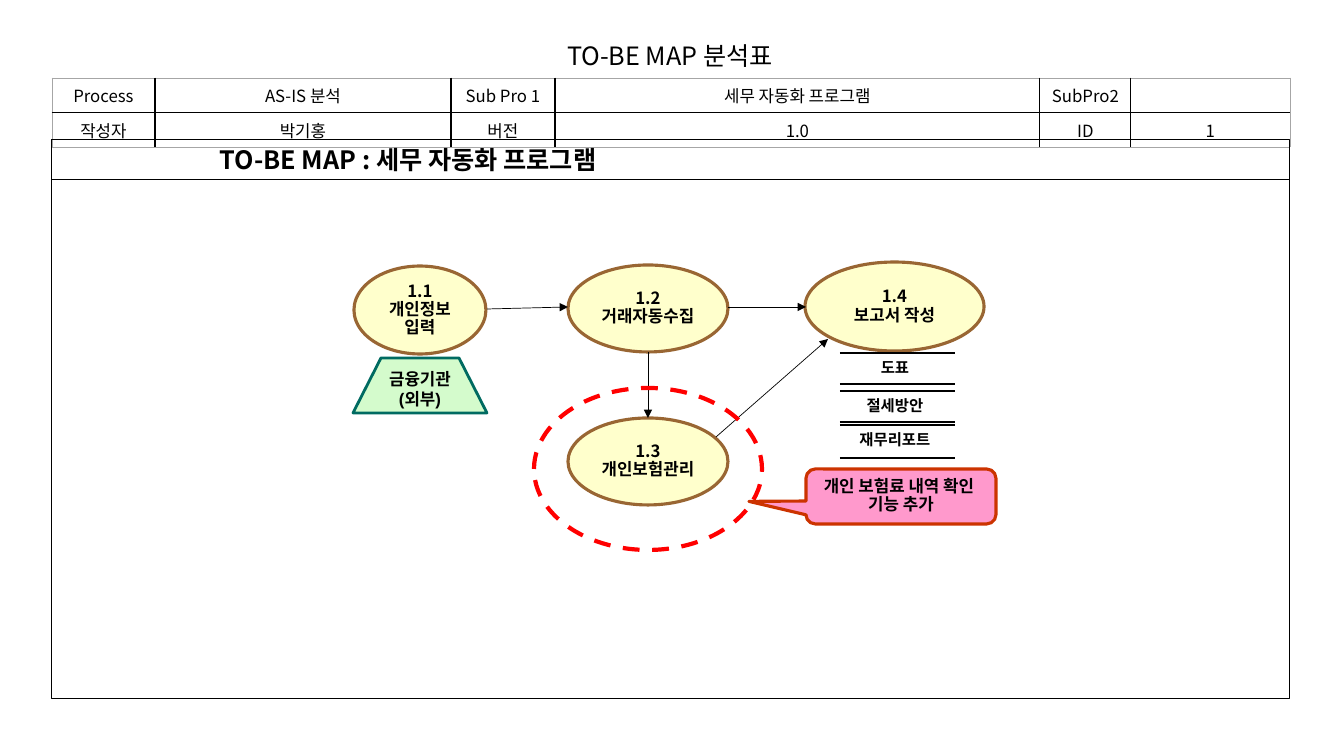
from lxml import etree
from pptx import Presentation
from pptx.dml.color import RGBColor
from pptx.enum.dml import MSO_LINE
from pptx.enum.shapes import MSO_CONNECTOR, MSO_SHAPE
from pptx.enum.text import MSO_ANCHOR, PP_ALIGN
from pptx.oxml.ns import qn
from pptx.util import Emu, Pt

EMU_PER_PX = 914400 / 100.8
KOREAN_FONT = "Noto Sans CJK KR"
LATIN_FONT = "Arial"

BLACK = RGBColor(0x00, 0x00, 0x00)
WHITE = RGBColor(0xFF, 0xFF, 0xFF)
GRAY = RGBColor(0xA6, 0xA6, 0xA6)
CREAM = RGBColor(0xFF, 0xFF, 0xCC)
BROWN = RGBColor(0x99, 0x66, 0x33)
MINT = RGBColor(0xD4, 0xFB, 0xCC)
TEAL = RGBColor(0x00, 0x6B, 0x61)
RED = RGBColor(0xFF, 0x00, 0x00)
PINK = RGBColor(0xFF, 0x99, 0xCC)
RUST = RGBColor(0xCC, 0x33, 0x00)

CENTER, LEFT = PP_ALIGN.CENTER, PP_ALIGN.LEFT
MIDDLE, TOP = MSO_ANCHOR.MIDDLE, MSO_ANCHOR.TOP
STRAIGHT = MSO_CONNECTOR.STRAIGHT
ELLIPSE, RECTANGLE = MSO_SHAPE.OVAL, MSO_SHAPE.RECTANGLE
CALLOUT = MSO_SHAPE.ROUNDED_RECTANGULAR_CALLOUT
DASH = MSO_LINE.DASH

SHEET_LEFT, SHEET_WIDTH = 52, 1238
TITLE_EDGES = ((WHITE, 1), (WHITE, 1), (WHITE, 1), (WHITE, 3))
INNER_EDGE, OUTER_EDGE = (BLACK, 1), (GRAY, 0.5)
INFO_COLUMNS = (103, 296, 104, 485, 91, 159)
INFO_ROWS = (31, 29)
INFO = (
    ("Process", "AS-IS 분석", "Sub Pro 1", "세무 자동화 프로그램", "SubPro2", ""),
    ("작성자", "박기홍", "버전", "1.0", "ID", "1"),
)
PROCESSES = (
    ((354, 266, 132, 88), ("1.1", "개인정보", "입력")),
    ((568, 265, 160, 87), ("1.2", "거래자동수집")),
    ((568, 418, 160, 87), ("1.3", "개인보험관리")),
    ((805, 262, 179, 89), ("1.4", "보고서 작성")),
)
FLOWS = (
    (487, 309, 568, 307),
    (728, 307, 806, 307),
    (648, 352, 648, 418),
    (716, 437, 828, 339),
)
STORES = (("도표", 353, 384), ("절세방안", 391, 422), ("재무리포트", 425, 458))
STORE_LEFT, STORE_WIDTH, STORE_LABEL_WIDTH = 840, 115, 110


def px(length):
    return Emu(round(length * EMU_PER_PX))


def box(*lengths):
    return [px(length) for length in lengths]


def write(frame, lines, size, bold=True, font=KOREAN_FONT, align=CENTER, spacing=None):
    for index, line in enumerate(lines):
        paragraph = frame.paragraphs[0] if index == 0 else frame.add_paragraph()
        paragraph.alignment = align
        if spacing:
            paragraph.line_spacing = spacing
        run = paragraph.add_run()
        run.text = line
        run.font.size = Pt(size)
        run.font.bold = bold
        run.font.name = font
        run.font.color.rgb = BLACK
        east_asian = etree.SubElement(run.font._element, qn("a:ea"))
        east_asian.set("typeface", KOREAN_FONT)


def set_frame(frame, anchor=MIDDLE, across=0, down=0):
    frame.word_wrap = True
    frame.vertical_anchor = anchor
    frame.margin_left = frame.margin_right = px(across)
    frame.margin_top = frame.margin_bottom = px(down)


def paint(shape, fill, line, width):
    shape.shadow.inherit = False
    if fill is None:
        shape.fill.background()
    else:
        shape.fill.solid()
        shape.fill.fore_color.rgb = fill
    shape.line.color.rgb = line
    shape.line.width = Pt(width)
    set_frame(shape.text_frame)


def add_figure(slide, kind, bounds, fill, line, width):
    figure = slide.shapes.add_shape(kind, *box(*bounds))
    paint(figure, fill, line, width)
    return figure


def add_line(slide, ends, width, arrow=False):
    connector = slide.shapes.add_connector(STRAIGHT, *box(*ends))
    connector.line.color.rgb = BLACK
    connector.line.width = Pt(width)
    if arrow:
        tail = etree.SubElement(connector.line._get_or_add_ln(), qn("a:tailEnd"))
        tail.set("type", "triangle")
    etree.SubElement(connector._element.spPr, qn("a:effectLst"))


def border_cell(cell, edges):
    properties = cell._tc.get_or_add_tcPr()
    sides = ("a:lnL", "a:lnR", "a:lnT", "a:lnB")
    for position, (side, (color, width)) in enumerate(zip(sides, edges)):
        edge = etree.Element(qn(side), w=str(Pt(width)))
        fill = etree.SubElement(edge, qn("a:solidFill"))
        etree.SubElement(fill, qn("a:srgbClr"), val=str(color))
        properties.insert(position, edge)


def fill_cell(cell, text, size, edges):
    cell.fill.background()
    cell.vertical_anchor = MIDDLE
    border_cell(cell, edges)
    if text:
        write(cell.text_frame, [text], size, bold=False)
    else:
        paragraph = cell.text_frame.paragraphs[0]
        etree.SubElement(paragraph._p, qn("a:endParaRPr"), sz=str(size * 100))


def add_grid(slide, left, top, columns, rows):
    bounds = box(left, top, sum(columns), sum(rows))
    table = slide.shapes.add_table(len(rows), len(columns), *bounds).table
    table.first_row = table.horz_banding = False
    for column, width in zip(table.columns, columns):
        column.width = px(width)
    for row, height in zip(table.rows, rows):
        row.height = px(height)
    return table


def add_title_table(slide):
    table = add_grid(slide, 306, 31, (728,), (40,))
    fill_cell(table.cell(0, 0), "TO-BE MAP 분석표", 18, TITLE_EDGES)


def add_info_table(slide):
    table = add_grid(slide, SHEET_LEFT, 78, INFO_COLUMNS, INFO_ROWS)
    last_row, last_column = len(INFO_ROWS) - 1, len(INFO_COLUMNS) - 1
    for r, values in enumerate(INFO):
        for c, value in enumerate(values):
            outer = (c == 0, c == last_column, r == 0, r == last_row)
            edges = [OUTER_EDGE if is_outer else INNER_EDGE for is_outer in outer]
            fill_cell(table.cell(r, c), value, 12, edges)


def add_process(slide, bounds, lines):
    process = add_figure(slide, ELLIPSE, bounds, CREAM, BROWN, 2.25)
    write(process.text_frame, lines, 12, spacing=0.9)


def add_institution(slide):
    builder = slide.shapes.build_freeform(487, 413, scale=EMU_PER_PX)
    builder.add_line_segments([(459, 358), (381, 358), (353, 413)], close=True)
    institution = builder.convert_to_shape()
    paint(institution, MINT, TEAL, 2)
    institution.text_frame.margin_top = px(6)
    write(institution.text_frame, ["금융기관", "(외부)"], 12, font=LATIN_FONT)


def add_store(slide, name, top, bottom):
    for level in (top, bottom):
        add_line(slide, (STORE_LEFT, level, STORE_LEFT + STORE_WIDTH, level), 1)
    label = slide.shapes.add_textbox(*box(STORE_LEFT, top, STORE_LABEL_WIDTH, bottom - top))
    set_frame(label.text_frame, TOP, 13, 7)
    write(label.text_frame, [name], 11, spacing=0.9)


def add_callout(slide):
    callout = add_figure(slide, CALLOUT, (806, 469, 190, 55), PINK, RUST, 2.25)
    for index, value in enumerate((-0.8, 0.09, 0.17)):
        callout.adjustments[index] = value
    lines = ["개인 보험료 내역 확인 ", "기능 추가"]
    write(callout.text_frame, lines, 12, font=LATIN_FONT, spacing=0.9)


def add_heading(slide):
    bounds = (SHEET_LEFT, 139, SHEET_WIDTH, 41)
    heading = add_figure(slide, RECTANGLE, bounds, None, BLACK, 0.75)
    heading.text_frame.margin_left = px(168)
    write(heading.text_frame, ["TO-BE MAP : 세무 자동화 프로그램"], 18, align=LEFT)


def main():
    deck = Presentation()
    deck.slide_width, deck.slide_height = box(1344, 756)
    slide = deck.slides.add_slide(deck.slide_layouts[6])
    add_title_table(slide)
    add_info_table(slide)
    for bounds, lines in PROCESSES:
        add_process(slide, bounds, lines)
    add_institution(slide)
    for ends in FLOWS:
        add_line(slide, ends, 0.5, arrow=True)
    add_figure(slide, RECTANGLE, (SHEET_LEFT, 180, SHEET_WIDTH, 519), None, BLACK, 0.75)
    for store in STORES:
        add_store(slide, *store)
    highlight = add_figure(slide, ELLIPSE, (534, 388, 228, 162), None, RED, 3)
    highlight.line.dash_style = DASH
    add_callout(slide)
    add_heading(slide)
    deck.save("out.pptx")


if __name__ == "__main__":
    main()
